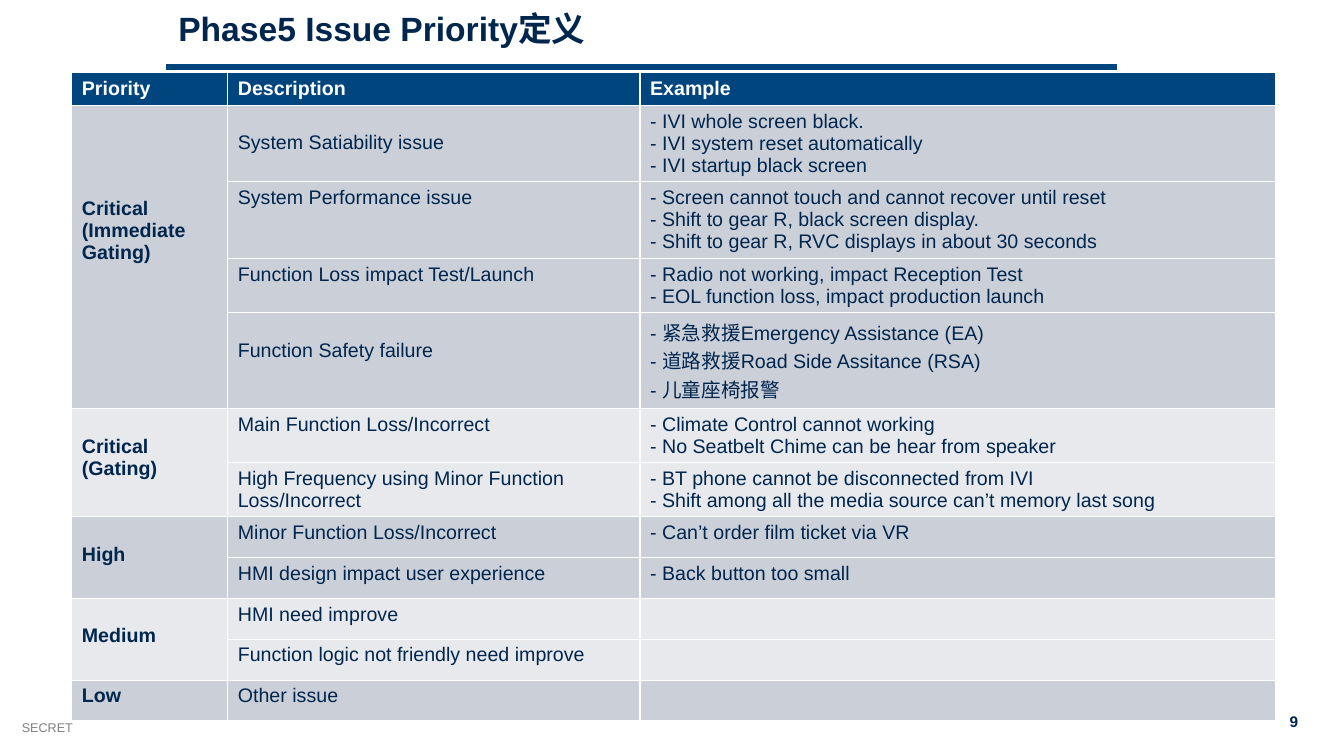
"""Build the issue priority definition slide."""
from lxml.etree import SubElement
from pptx import Presentation
from pptx.dml.color import RGBColor
from pptx.enum.shapes import MSO_CONNECTOR as Connector
from pptx.enum.text import MSO_ANCHOR as Anchor, PP_ALIGN as Align
from pptx.oxml.ns import qn
from pptx.util import Cm, Pt

COLORS = {"navy": "00264E", "blue": "00457E", "white": "FFFFFF",
          "grey": "808080", "dark band": "CBCFD8", "light band": "E7E9EC"}


def write(frame, text, size=14, color="navy", bold=False, align=Align.LEFT, spacing=None):
    frame.text = text
    for para in frame.paragraphs:
        para.alignment = align
        para.line_spacing = spacing
        for font in [para.font] + [span.font for span in para.runs]:
            font.name = "Arial"
            font.size = Pt(size)
            font.bold = bold
            font.color.rgb = RGBColor.from_string(COLORS[color])


deck = Presentation()
deck.slide_width, deck.slide_height = Cm(33.87), Cm(19.05)
page = deck.slides.add_slide(deck.slide_layouts[5])

title = page.shapes.title
title.left, title.top, title.width, title.height = Cm(4.24), Cm(0.18), Cm(29.87), Cm(1.6)
title.text_frame.vertical_anchor = Anchor.TOP
write(title.text_frame, "Phase5 Issue Priority定义", size=24, bold=True, spacing=0.9)

rule = page.shapes.add_connector(Connector.STRAIGHT, Cm(4.19), Cm(1.68), Cm(28.14), Cm(1.68))
rule.line.color.rgb = RGBColor.from_string(COLORS["blue"])
rule.line.width = Pt(4.5)
SubElement(rule.element.spPr, qn("a:effectLst"))

footers = [
    ("SECRET", (0.3, 18.01, 7.62, 0.64), {"size": 9, "color": "grey"}),
    ("9", (31.98, 17.81, 0.99, 0.74), {"size": 11, "bold": True, "align": Align.RIGHT}),
]
for text, place, style in footers:
    box = page.shapes.add_textbox(*map(Cm, place))
    write(box.text_frame, text, **style)

groups = [
    ("Critical\n(Immediate Gating)", 4, [
        (1.92, 1, "System Satiability issue",
         "- IVI whole screen black.\n- IVI system reset automatically\n- IVI startup black screen"),
        (1.94, 0, "System Performance issue",
         "- Screen cannot touch and cannot recover until reset\n"
         "- Shift to gear R, black screen display.\n"
         "- Shift to gear R, RVC displays in about 30 seconds"),
        (1.36, 0, "Function Loss impact Test/Launch",
         "- Radio not working, impact Reception Test\n"
         "- EOL function loss, impact production launch"),
        (2.42, 1, "Function Safety failure",
         "- 紧急救援Emergency Assistance (EA)\n- 道路救援Road Side Assitance (RSA)\n- 儿童座椅报警"),
    ]),
    ("Critical\n(Gating)", 1, [
        (1.36, 0, "Main Function Loss/Incorrect",
         "- Climate Control cannot working\n- No Seatbelt Chime can be hear from speaker"),
        (1.36, 0, "High Frequency using Minor Function Loss/Incorrect",
         "- BT phone cannot be disconnected from IVI\n"
         "- Shift among all the media source can’t memory last song"),
    ]),
    ("High", 1, [
        (1.03, 0, "Minor Function Loss/Incorrect", "- Can’t order film ticket via VR"),
        (1.03, 0, "HMI design impact user experience", "- Back button too small"),
    ]),
    ("Medium", 1, [
        (1.03, 0, "HMI need improve", ""),
        (1.03, 0, "Function logic not friendly need improve", ""),
    ]),
    ("Low", 0, [(1.01, 0, "Other issue", "")]),
]

header_height, line_height, top_margin = 0.83, 0.55, 0.12
issues = [issue for group in groups for issue in group[2]]
table_height = header_height + sum(issue[0] for issue in issues)
table = page.shapes.add_table(len(issues) + 1, 3, Cm(1.81), Cm(1.83),
                              Cm(30.33), Cm(table_height)).table
for column, width in zip(table.columns, (3.93, 10.39, 16.01)):
    column.width = Cm(width)

table.rows[0].height = Cm(header_height)
for column, heading in enumerate(("Priority", "Description", "Example")):
    cell = table.cell(0, column)
    cell.fill.solid()
    cell.fill.fore_color.rgb = RGBColor.from_string(COLORS["blue"])
    cell.margin_bottom = Cm(0)
    write(cell.text_frame, heading, color="white", bold=True)

row = 1
for index, (priority, lines_down, members) in enumerate(groups):
    band = "light band" if index % 2 else "dark band"
    first_row = row
    for height, offset, description, example in members:
        table.rows[row].height = Cm(height)
        name = priority if row == first_row else ""
        entries = [(name, lines_down if name else 0), (description, offset), (example, 0)]
        for column, (text, lines) in enumerate(entries):
            cell = table.cell(row, column)
            cell.fill.solid()
            cell.fill.fore_color.rgb = RGBColor.from_string(COLORS[band])
            cell.margin_top = Cm(top_margin + lines * line_height)
            cell.margin_bottom = Cm(0)
            write(cell.text_frame, text, bold=column == 0)
        row += 1
    if len(members) > 1:
        table.cell(first_row, 0).merge(table.cell(row - 1, 0))

deck.save("out.pptx")
